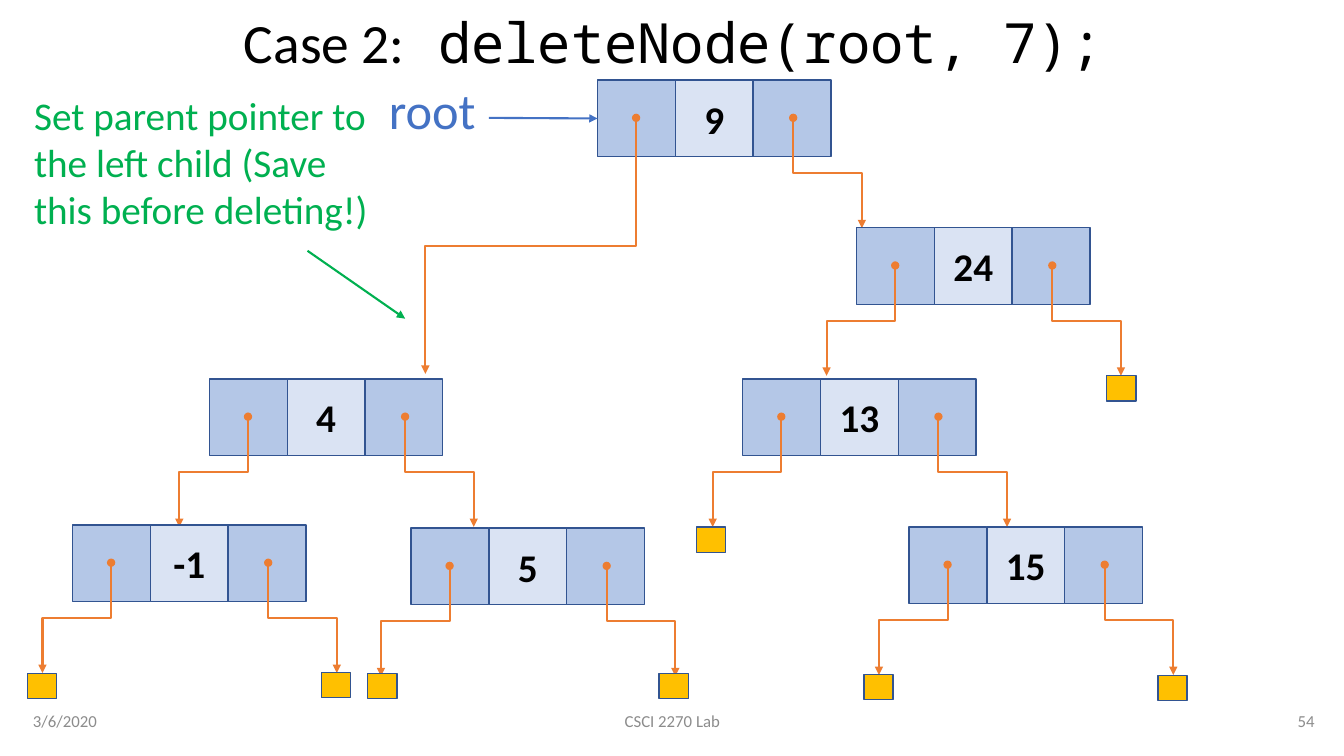
from dataclasses import dataclass

from lxml import etree
from pptx import Presentation
from pptx.dml.color import RGBColor
from pptx.enum.shapes import MSO_CONNECTOR, MSO_SHAPE
from pptx.enum.text import MSO_ANCHOR, MSO_AUTO_SIZE, PP_ALIGN
from pptx.oxml.ns import qn
from pptx.util import Cm, Pt

RECT = MSO_SHAPE.RECTANGLE
STRAIGHT, ELBOW = MSO_CONNECTOR.STRAIGHT, MSO_CONNECTOR.ELBOW
TOP, MIDDLE = MSO_ANCHOR.TOP, MSO_ANCHOR.MIDDLE
LEFT, CENTER, RIGHT = PP_ALIGN.LEFT, PP_ALIGN.CENTER, PP_ALIGN.RIGHT
NO_AUTOFIT = MSO_AUTO_SIZE.NONE

COLORS = {
    "text": "000000",
    "footer": "8C8C8C",
    "pointer": "B4C7E7",
    "key": "DAE3F3",
    "outline": "325491",
    "link": "ED7D31",
    "null": "FFC000",
    "root": "4472C4",
    "note": "00B050",
}
FONT, CODE_FONT = "Calibri", "Noto Sans Mono"
CELL_W, CELL_H = 1.96, 1.93
NULL_W, NULL_H = 0.74, 0.64
LEFT_DOT, RIGHT_DOT, DOT_Y = 0.97, 4.93, 0.95
LINK_DX, LINK_DY = 1.73, 2.78


@dataclass
class Node:
    key: str
    x: float
    y: float
    left_dx: float = LINK_DX
    left_dy: float = LINK_DY


@dataclass
class Label:
    text: str
    x: float
    y: float
    w: float
    h: float
    size: float
    color: str
    align: PP_ALIGN = LEFT
    anchor: MSO_ANCHOR = TOP


NODES = [
    Node("9", 15.06, 2.02, 5.31, 6.45),
    Node("24", 21.59, 5.74),
    Node("4", 5.28, 9.55),
    Node("5", 10.36, 13.31),
    Node("13", 18.72, 9.55),
    Node("15", 22.91, 13.28),
    Node("-1", 1.83, 13.23),
]
NULLS = [
    (27.89, 9.47), (21.77, 16.99), (17.55, 13.28), (16.61, 16.97),
    (0.69, 16.97), (8.1, 16.94), (29.18, 17.02), (9.27, 16.97),
]
LABELS = [
    Label("3/6/2020", 0.58, 17.65, 7.62, 1.02, 12, "footer", LEFT, MIDDLE),
    Label("CSCI 2270 Lab", 11.23, 17.65, 11.43, 1.02, 12, "footer", CENTER, MIDDLE),
    Label("54", 25.76, 17.65, 7.62, 1.02, 12, "footer", RIGHT, MIDDLE),
    Label("root", 9.55, 1.88, 3.12, 1.8, 36, "root"),
    Label("Set parent pointer to the left child (Save this before deleting!)",
          0.61, 2.18, 9.37, 3.84, 28, "note"),
]


def rgb(name: str) -> RGBColor:
    return RGBColor.from_string(COLORS[name])


def style_run(r, size: float, color: str, font: str = FONT, bold: bool = False) -> None:
    r.font.name = font
    r.font.size = Pt(size)
    r.font.bold = bold
    r.font.color.rgb = rgb(color)


def add_box(shapes, x: float, y: float, w: float, h: float, fill: str):
    sp = shapes.add_shape(RECT, Cm(x), Cm(y), Cm(w), Cm(h))
    sp.shadow.inherit = False
    sp.fill.solid()
    sp.fill.fore_color.rgb = rgb(fill)
    sp.line.color.rgb = rgb("outline")
    sp.line.width = Pt(1)
    return sp


def add_arrow(shapes, kind, x1: float, y1: float, x2: float, y2: float,
              color: str, head: str = "none"):
    c = shapes.add_connector(kind, Cm(x1), Cm(y1), Cm(x2), Cm(y2))
    c.line.color.rgb = rgb(color)
    c.line.width = Pt(1.5)
    sp_pr = c._element.spPr
    ln = sp_pr.find(qn("a:ln"))
    etree.SubElement(ln, qn("a:headEnd"), type=head)
    etree.SubElement(ln, qn("a:tailEnd"), type="triangle")
    etree.SubElement(sp_pr, qn("a:effectLst"))
    return c


def add_link(shapes, x: float, y: float, dx: float, dy: float) -> None:
    cx, cy = x + dx / 2, y + dy / 2
    half_w, half_h = dy / 2, abs(dx) / 2
    c = add_arrow(shapes, ELBOW, cx - half_w, cy - half_h,
                  cx + half_w, cy + half_h, "link", "oval")
    xfrm = c._element.spPr.find(qn("a:xfrm"))
    if dx < 0:
        xfrm.set("rot", "5400000")
    else:
        xfrm.set("rot", "16200000")
        xfrm.set("flipH", "1")


def add_node(shapes, node: Node):
    group = shapes.add_group_shape().shapes
    cells = [
        add_box(group, node.x + i * CELL_W, node.y, CELL_W, CELL_H, fill)
        for i, fill in enumerate(("pointer", "key", "pointer"))
    ]
    tf = cells[1].text_frame
    tf.text = node.key
    tf.vertical_anchor = MIDDLE
    p = tf.paragraphs[0]
    p.alignment = CENTER
    style_run(p.runs[0], 28, "text", bold=True)
    y = node.y + DOT_Y
    add_link(group, node.x + LEFT_DOT, y, -node.left_dx, node.left_dy)
    add_link(group, node.x + RIGHT_DOT, y, LINK_DX, LINK_DY)
    return cells[0]


def add_label(shapes, label: Label) -> None:
    sp = shapes.add_textbox(Cm(label.x), Cm(label.y), Cm(label.w), Cm(label.h))
    tf = sp.text_frame
    tf.word_wrap = True
    tf.vertical_anchor = label.anchor
    tf.text = label.text
    p = tf.paragraphs[0]
    p.alignment = label.align
    style_run(p.runs[0], label.size, label.color)


def set_title(sp) -> None:
    sp.left, sp.top, sp.width, sp.height = Cm(0.58), Cm(0.38), Cm(32.79), Cm(1.52)
    tf = sp.text_frame
    tf.auto_size = NO_AUTOFIT
    tf.word_wrap = True
    tf.vertical_anchor = MIDDLE
    p = tf.paragraphs[0]
    p.alignment = CENTER
    p.line_spacing = 0.9
    for text, font in (("Case 2:", FONT), (" deleteNode(root, 7);", CODE_FONT)):
        r = p.add_run()
        r.text = text
        style_run(r, 39.6, "text", font)


def main() -> None:
    prs = Presentation()
    prs.slide_width, prs.slide_height = Cm(33.87), Cm(19.05)
    s = prs.slides.add_slide(prs.slide_layouts[5])
    set_title(s.shapes.title)
    first_cells = [add_node(s.shapes, node) for node in NODES]
    root_arrow = add_arrow(s.shapes, STRAIGHT, 12.32, 2.97, 15.06, 2.99, "root")
    root_arrow.end_connect(first_cells[0], 1)
    for x, y in NULLS:
        add_box(s.shapes, x, y, NULL_W, NULL_H, "null")
    for label in LABELS:
        add_label(s.shapes, label)
    add_arrow(s.shapes, STRAIGHT, 7.75, 6.32, 10.21, 8.03, "note")
    prs.save("out.pptx")


if __name__ == "__main__":
    main()
